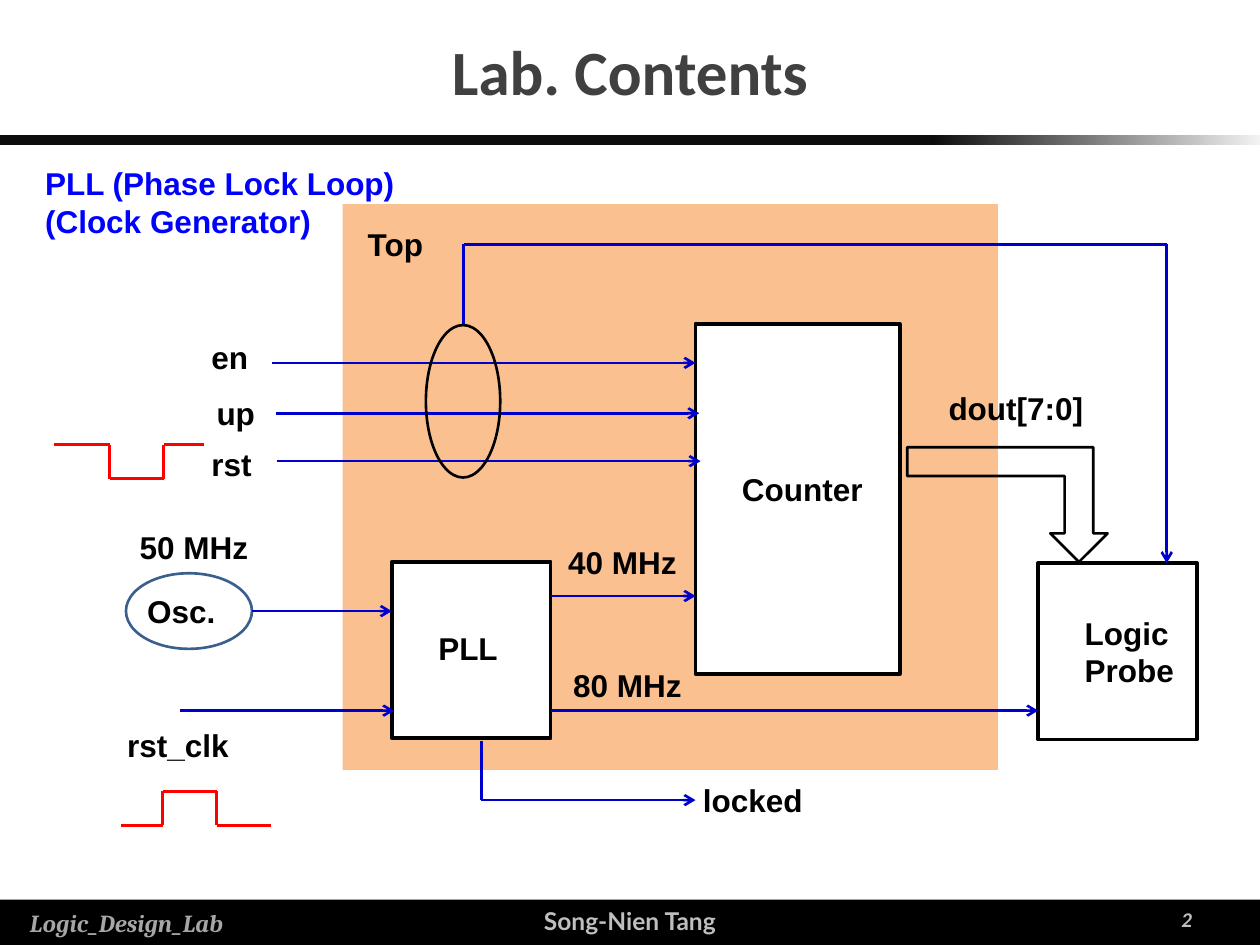
from itertools import pairwise

from lxml import etree
from pptx import Presentation, util as u
from pptx.dml.color import RGBColor
from pptx.enum import shapes, text
from pptx.oxml import parse_xml
from pptx.oxml.ns import nsdecls, qn

BLACK = RGBColor(0x00, 0x00, 0x00)
WHITE = RGBColor(0xFF, 0xFF, 0xFF)
CHARCOAL = RGBColor(0x40, 0x40, 0x40)
SILVER = RGBColor(0xBF, 0xBF, 0xBF)
GREY = RGBColor(0xA6, 0xA6, 0xA6)
PEACH = RGBColor(0xFA, 0xC0, 0x90)
STEEL = RGBColor(0x3A, 0x5F, 0x8C)
NAVY = RGBColor(0x00, 0x00, 0xCC)
BLUE = RGBColor(0x00, 0x00, 0xFF)
RED = RGBColor(0xFF, 0x00, 0x00)

COLUMNS, ROWS = 100, 75
WIDTH, HEIGHT = u.Inches(10), u.Inches(7.5)
ALIGN = text.PP_ALIGN
SHAPE = shapes.MSO_SHAPE


def write(frame, content, size=18, font="Arial", color=BLACK, bold=True,
          italic=False, align=ALIGN.LEFT, anchor=text.MSO_ANCHOR.TOP):
    """Fill a text frame, one paragraph for each line of content."""
    frame.text = content
    frame.word_wrap = True
    frame.vertical_anchor = anchor
    for paragraph in frame.paragraphs:
        paragraph.alignment = align
        for run in paragraph.runs:
            run.font.size = u.Pt(size)
            run.font.name = font
            run.font.color.rgb = color
            run.font.bold = bold
            run.font.italic = italic


class Diagram:
    """Draws on one slide, in units of a 100 by 75 grid."""

    def __init__(self, slide):
        self.slide = slide
        self.shapes = slide.shapes

    def grid(self, *lengths):
        """Turn alternating columns and rows into slide lengths."""
        cells = (WIDTH / COLUMNS, HEIGHT / ROWS)
        return [u.Emu(round(length * cells[i % 2])) for i, length in enumerate(lengths)]

    def title(self, content, *box):
        title = self.shapes.title
        title.left, title.top, title.width, title.height = self.grid(*box)
        write(title.text_frame, content, size=36, font="Calibri", color=CHARCOAL,
              align=ALIGN.CENTER, anchor=text.MSO_ANCHOR.MIDDLE)

    def block(self, kind, *box, fill=None, line=None, weight=1.5):
        shape = self.shapes.add_shape(kind, *self.grid(*box))
        shape.shadow.inherit = False
        if fill is None:
            shape.fill.background()
        else:
            shape.fill.solid()
            shape.fill.fore_color.rgb = fill
        if line is None:
            shape.line.fill.background()
        else:
            shape.line.color.rgb = line
            shape.line.width = u.Pt(weight)
        return shape

    def fading_bar(self, *box):
        bar = self.block(SHAPE.RECTANGLE, *box, fill=BLACK)
        properties = bar._element.spPr
        stops = "".join(
            f'<a:gs pos="{share * 1000}"><a:srgbClr val="{color}"/></a:gs>'
            for share, color in ((0, "F2F2F2"), (26, "0D0D0D"), (90, "0D0D0D")))
        gradient = parse_xml(f'<a:gradFill {nsdecls("a")}><a:gsLst>{stops}</a:gsLst>'
                             '<a:lin ang="10800000" scaled="0"/></a:gradFill>')
        properties.replace(properties.find(qn("a:solidFill")), gradient)

    def bus_arrow(self, *box):
        """Bent arrow turned to point down at its right end."""
        arrow = self.block(SHAPE.BENT_UP_ARROW, *box, line=BLACK)
        arrow.rotation = 180
        arrow._element.spPr.find(qn("a:xfrm")).set("flipH", "1")

    def label(self, content, *box, **style):
        label = self.shapes.add_textbox(*self.grid(*box))
        write(label.text_frame, content, **style)

    def wire(self, *points, color=NAVY, arrow=False):
        """Straight lines from point to point, with an arrowhead on the last."""
        for start, end in pairwise(points):
            line = self.shapes.add_connector(
                shapes.MSO_CONNECTOR.STRAIGHT, *self.grid(*start, *end))
            line.line.color.rgb = color
            line.line.width = u.Pt(1.5)
            if arrow and end == points[-1]:
                etree.SubElement(line.line._get_or_add_ln(), qn("a:tailEnd"), type="arrow")
            etree.SubElement(line._element.spPr, qn("a:effectLst"))

    def pulse(self, left, base, peak, *widths):
        """Red level, step and level again, for the given three widths."""
        rise = left + widths[0]
        fall = rise + widths[1]
        self.wire((left, base), (rise, base), (rise, peak), (fall, peak),
                  (fall, base), (fall + widths[2], base), color=RED)


def main():
    presentation = Presentation()
    presentation.slide_width, presentation.slide_height = WIDTH, HEIGHT
    title_only = presentation.slide_layouts[5]
    diagram = Diagram(presentation.slides.add_slide(title_only))

    # Frame of the slide
    diagram.block(SHAPE.RECTANGLE, 0, 71.4, 100, 3.6, fill=BLACK)
    diagram.fading_bar(0, 10.7, 100, 0.8)
    diagram.label("Song-Nien Tang", 0, 71.4, 100, 3.4, size=14, font="Lato",
                  color=SILVER, align=ALIGN.CENTER)
    diagram.label("Logic_Design_Lab", 0, 71.6, 20.1, 3.4, size=14, font="Cambria",
                  color=GREY, italic=True, align=ALIGN.CENTER)
    diagram.title("Lab. Contents", 5, 0.5, 90, 10.2)
    diagram.label("2", 72.3, 71.4, 23.3, 3.1, size=12, font="Calibri", color=SILVER,
                  italic=True, align=ALIGN.RIGHT, anchor=text.MSO_ANCHOR.MIDDLE)

    # Blocks
    diagram.block(SHAPE.RECTANGLE, 27.2, 16.2, 52, 44.9, fill=PEACH)
    for box in ((55.2, 25.7, 16.2, 27.8), (31.1, 44.6, 12.6, 14), (82.4, 44.7, 12.6, 14)):
        diagram.block(SHAPE.RECTANGLE, *box, fill=WHITE, line=BLACK, weight=2.25)
    diagram.block(SHAPE.OVAL, 10, 45.5, 10, 6, line=STEEL)

    # Signals
    for route in (
        ((20, 48.5), (31.1, 48.5)),
        ((43.7, 47.3), (55.2, 47.3)),
        ((43.7, 56.4), (82.4, 56.4)),
        ((38.2, 58.8), (38.2, 63.5), (55.2, 63.5)),
        ((21.6, 28.8), (55.2, 28.8)),
        ((21.9, 32.8), (55.5, 32.8)),
        ((22, 36.6), (55.6, 36.6)),
        ((14.3, 56.4), (31.3, 56.4)),
        ((36.8, 25.7), (36.8, 19.4), (92.6, 19.4), (92.6, 44.7)),
    ):
        diagram.wire(*route, arrow=True)
    diagram.bus_arrow(72, 35.5, 15.9, 9.1)
    diagram.pulse(9.6, 65.5, 62.8, 3.3, 4.3, 4.3)
    diagram.pulse(4.3, 35.3, 38, 4.4, 4.3, 3.2)
    diagram.block(SHAPE.OVAL, 33.8, 25.8, 5.9, 12.1, line=BLACK)

    # Labels
    for name, left, top, width in (
        ("Counter", 57.9, 36.8, 14.2),
        ("PLL", 33.8, 49.4, 7.1),
        ("50 MHz", 10.1, 41.4, 11.5),
        ("Osc.", 10.7, 46.5, 9.4),
        ("40 MHz", 44.1, 42.6, 11.5),
        ("80 MHz", 44.5, 52.4, 11.5),
        ("locked", 54.8, 61.5, 11.5),
        ("en", 15.8, 26.3, 5.8),
        ("up", 16.2, 30.8, 5.8),
        ("rst", 15.8, 34.8, 5.8),
        ("rst_clk", 9.1, 57.1, 12.5),
        ("dout[7:0]", 74.3, 30.4, 13.7),
        ("Top", 28.2, 17.4, 7.1),
    ):
        diagram.label(name, left, top, width, 4)
    diagram.label("Logic Probe", 85.1, 48.2, 12.2, 7.1)
    diagram.label("PLL (Phase Lock Loop)\n(Clock Generator)", 2.6, 12.5, 34.3, 7.1, color=BLUE)

    presentation.save("out.pptx")


if __name__ == "__main__":
    main()
